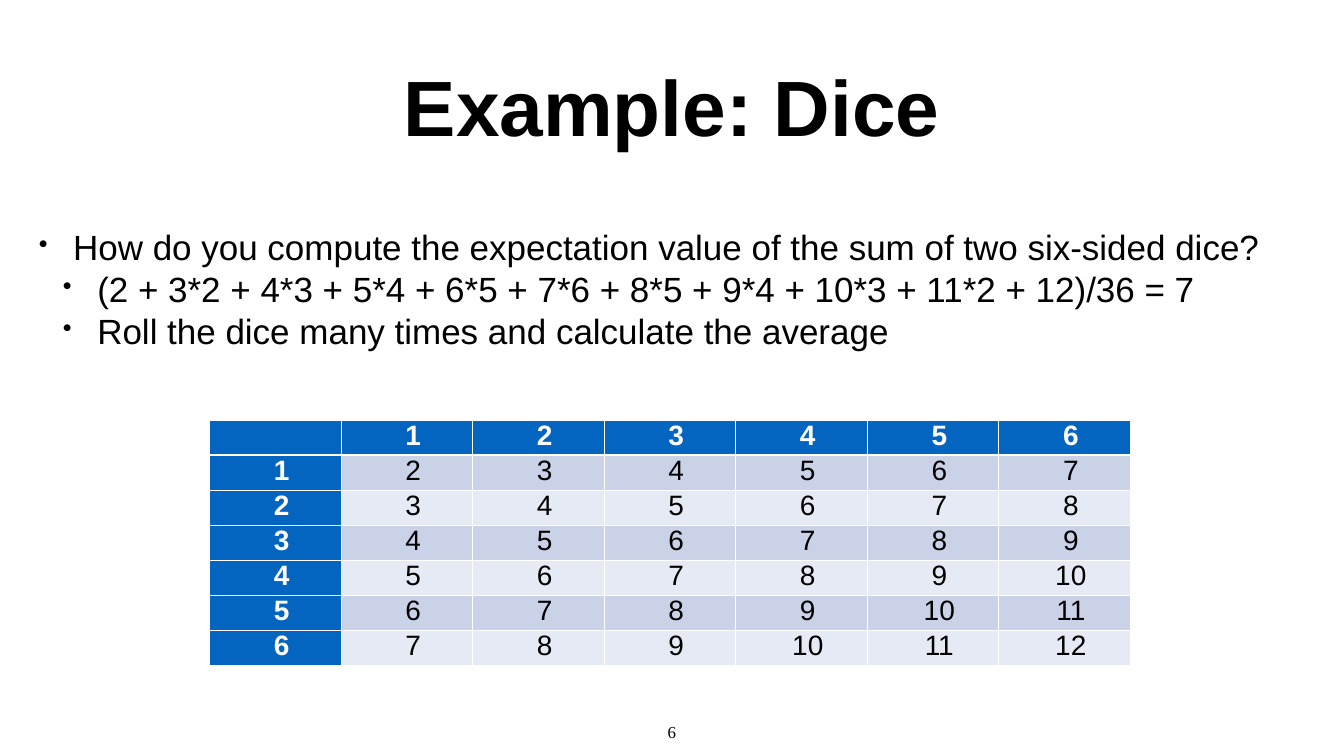
from lxml.etree import SubElement
from pptx import Presentation
from pptx.dml.color import RGBColor
from pptx.enum.text import MSO_ANCHOR, PP_ALIGN
from pptx.oxml.ns import qn
from pptx.util import Inches, Pt

TITLE = "Example: Dice"
POINTS = [  # level, text
    (0, "How do you compute the expectation value of the sum of two six-sided dice?"),
    (1, "(2 + 3*2 + 4*3 + 5*4 + 6*5 + 7*6 + 8*5 + 9*4 + 10*3 + 11*2 + 12)/36 = 7"),
    (1, "Roll the dice many times and calculate the average"),
]
FACES = range(1, 7)
SUMS = [["", *FACES]] + [[a, *(a + b for b in FACES)] for a in FACES]
PAGE_NUMBER = "6"

BLACK, WHITE, HEADER = "000000", "FFFFFF", "0365C0"
BANDS = ["E6EAF4", "CAD2E8"]  # even rows, odd rows
COLUMN_WIDTH, ROW_HEIGHT = 2.61, 0.695
HANGING, LEVEL_STEP = 0.68, 0.48


def style(paragraph, size, color=BLACK, bold=False, font="Arial"):
    for run in paragraph.runs:
        run.font.name = font
        run.font.size = Pt(size)
        run.font.bold = bold
        run.font.color.rgb = RGBColor.from_string(color)


def indent(paragraph, left, first):
    properties = paragraph._p.get_or_add_pPr()
    properties.set("marL", str(Inches(left)))
    properties.set("indent", str(Inches(first)))
    return properties


def add_text(slide, left, top, width, height, anchor, wrap=True):
    frame = slide.shapes.add_textbox(
        Inches(left), Inches(top), Inches(width), Inches(height)).text_frame
    frame.word_wrap = wrap
    frame.vertical_anchor = anchor
    frame.margin_left = frame.margin_right = Inches(0.08)
    frame.margin_top = frame.margin_bottom = Inches(0.08)
    return frame


def add_points(frame):
    frame.text = "\n".join(text for _, text in POINTS)
    for paragraph, (level, _) in zip(frame.paragraphs, POINTS):
        paragraph.level = level
        properties = indent(paragraph, HANGING + level * LEVEL_STEP, -HANGING)
        SubElement(properties, qn("a:buSzPct"), val="75000")
        SubElement(properties, qn("a:buChar"), char="•")
        style(paragraph, 50)


def add_borders(cell, **widths):
    properties = cell._tc.get_or_add_tcPr()
    for side in "LRTB":
        line = SubElement(properties, qn(f"a:ln{side}"), w=str(Pt(widths.get(side, 1))))
        fill = SubElement(line, qn("a:solidFill"))
        SubElement(fill, qn("a:srgbClr"), val=WHITE)


def add_sums(slide):
    rows, columns = len(SUMS), len(SUMS[0])
    table = slide.shapes.add_table(
        rows, columns, Inches(4.16), Inches(8.33),
        Inches(columns * COLUMN_WIDTH), Inches(rows * ROW_HEIGHT)).table
    table.first_col = True
    table.horz_banding = False
    for column in table.columns:
        column.width = Inches(COLUMN_WIDTH)
    for r, values in enumerate(SUMS):
        table.rows[r].height = Inches(ROW_HEIGHT)
        for c, value in enumerate(values):
            cell = table.cell(r, c)
            is_header = r == 0 or c == 0
            add_borders(cell, B=3 if r == 0 else 1, T=3 if r == 1 else 1)
            cell.fill.solid()
            cell.fill.fore_color.rgb = RGBColor.from_string(HEADER if is_header else BANDS[r % 2])
            cell.margin_left = cell.margin_right = cell.margin_top = cell.margin_bottom = 0
            cell.text = str(value)
            paragraph = cell.text_frame.paragraphs[0]
            paragraph.alignment = PP_ALIGN.CENTER
            indent(paragraph, 0, 0.25)
            style(paragraph, 40, WHITE if is_header else BLACK, is_header)


def main():
    deck = Presentation()
    deck.slide_width, deck.slide_height = Inches(26.67), Inches(15)
    slide = deck.slides.add_slide(deck.slide_layouts[6])

    title = add_text(slide, 0.69, 0.69, 25.28, 2.78, MSO_ANCHOR.MIDDLE)
    title.text = TITLE
    title.paragraphs[0].alignment = PP_ALIGN.CENTER
    style(title.paragraphs[0], 112, bold=True)

    add_points(add_text(slide, 0.69, 3.47, 25.28, 4.52, MSO_ANCHOR.MIDDLE))
    add_sums(slide)

    number = add_text(slide, 13.15, 14.23, 0.36, 0.56, MSO_ANCHOR.TOP, wrap=False)
    number.text = PAGE_NUMBER
    number.paragraphs[0].alignment = PP_ALIGN.CENTER
    style(number.paragraphs[0], 24, font="Times New Roman")

    deck.save("out.pptx")


if __name__ == "__main__":
    main()
